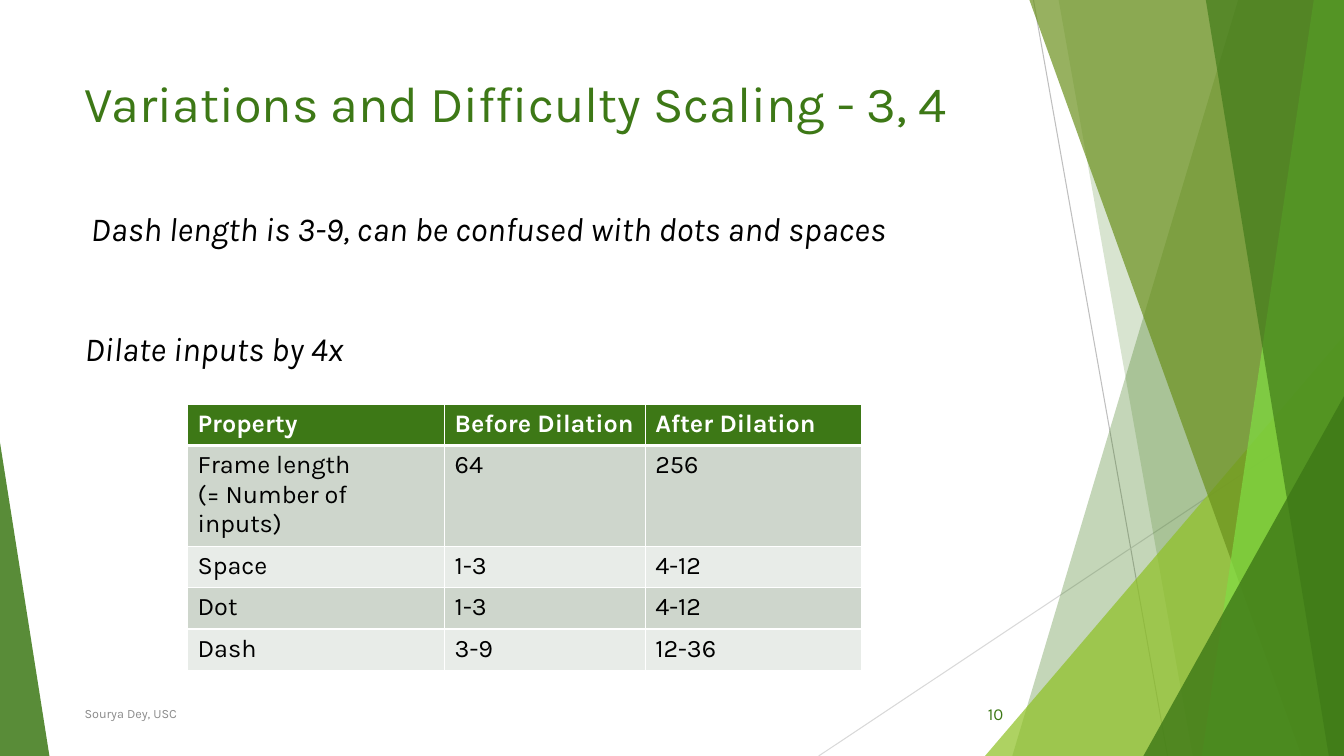
from lxml import etree
from pptx import Presentation
from pptx import util as u
from pptx.dml.color import RGBColor
from pptx.enum import shapes, text
from pptx.oxml import ns

PX = 9144  # EMU per px, 100 px to the inch
WIDE, HIGH = 1333, 750
FONT = "Karla"

GREEN = RGBColor(0x3D, 0x78, 0x16)
LIME = RGBColor(0x8F, 0xC1, 0x26)
OLIVE = RGBColor(0x6B, 0x91, 0x1D)
BRIGHT = RGBColor(0x81, 0xDD, 0x44)
SAGE = RGBColor(0xCE, 0xD6, 0xCC)
PALE = RGBColor(0xE8, 0xEC, 0xE8)
GREY = RGBColor(0x8C, 0x8C, 0x8C)
SILVER = RGBColor(0xBF, 0xBF, 0xBF)
MIST = RGBColor(0xD9, 0xD9, 0xD9)
BLACK = RGBColor(0, 0, 0)
WHITE = RGBColor(255, 255, 255)

TITLE = "Variations and Difficulty Scaling - 3, 4"
TITLE_BOX = (74, 67, 940, 144)

LEFT, RIGHT = text.PP_ALIGN.LEFT, text.PP_ALIGN.RIGHT
TOP, MIDDLE = text.MSO_ANCHOR.TOP, text.MSO_ANCHOR.MIDDLE
BODY = {"size": 24, "color": BLACK, "italic": True}
# words, box, font, alignment, anchor, wrap
NOTES = [
    ("Dash length is 3-9, can be confused with dots and spaces",
     (80, 201, 882, 50), BODY, LEFT, TOP, False),
    ("Dilate inputs by 4x", (74, 320, 307, 50), BODY, LEFT, TOP, False),
    ("Sourya Dey, USC", (74, 688, 689, 40),
     {"size": 9, "color": GREY}, LEFT, MIDDLE, True),
    ("10", (930, 688, 75, 40),
     {"size": 12, "color": GREEN}, RIGHT, MIDDLE, True),
]

ROWS = [
    ("Property", "Before Dilation", "After Dilation"),
    ("Frame length\v(= Number of inputs)", "64", "256"),
    ("Space", "1-3", "4-12"),
    ("Dot", "1-3", "4-12"),
    ("Dash", "3-9", "12-36"),
]
COLS = (255, 199, 215)
GRID_X, GRID_Y, ROW_H = 186, 401, 41

LINES = [((1025, 0), (1158, HIGH), SILVER), ((WIDE, 403), (812, HIGH), MIST)]
# A band runs from its slanted left side (top x, bottom x) to the right edge;
# a wedge is a triangle on the bottom edge (left, top, width, apex).
DECOR = [
    ("band", (1228, 1004), GREEN, 30),
    ("band", (1050, 1183), GREEN, 20),
    ("wedge", (977, 333, 356, 1), LIME, 72),
    ("band", (1021, 1291), OLIVE, 70),
    ("band", (1303, 1192), BRIGHT, 70),
    ("band", (1196, 1318), GREEN, 65),
    ("wedge", (1134, 393, 199, 1), GREEN, 80),
    ("wedge", (0, 439, 49, 0), GREEN, 85),
]


def emu(box):
    return [n * PX for n in box]


def style(para, form):
    form = dict(form, name=FONT)
    para.font.color.rgb = form.pop("color")
    form["size"] = u.Pt(form["size"])
    for key, value in form.items():
        setattr(para.font, key, value)


def add_band(slide, sides):
    top, low = sides
    pen = slide.shapes.build_freeform(top, 0, scale=PX)
    pen.add_line_segments([(WIDE, 0), (WIDE, HIGH), (low, HIGH)], close=True)
    return pen.convert_to_shape()


def add_wedge(slide, spot):
    x, y, w, apex = spot
    shape = slide.shapes.add_shape(
        shapes.MSO_SHAPE.ISOSCELES_TRIANGLE, *emu((x, y, w, HIGH - y)))
    shape.adjustments[0] = apex
    return shape


def add_decor(slide):
    for start, end, color in LINES:
        line = slide.shapes.add_connector(
            shapes.MSO_CONNECTOR.STRAIGHT, *emu(start + end))
        line.line.color.rgb = color
        line.line.width = u.Pt(0.75)
        etree.SubElement(line._element.spPr, ns.qn("a:effectLst"))
    make = {"band": add_band, "wedge": add_wedge}
    for kind, spot, color, alpha in DECOR:
        shape = make[kind](slide, spot)
        shape.shadow.inherit = False
        shape.line.fill.background()
        shape.fill.solid()
        shape.fill.fore_color.rgb = color
        tint = shape._element.spPr.find(".//" + ns.qn("a:srgbClr"))
        etree.SubElement(tint, ns.qn("a:alpha"), val=str(alpha * 1000))


def add_title(slide):
    title = slide.shapes.title
    for key, n in zip(("left", "top", "width", "height"), emu(TITLE_BOX)):
        setattr(title, key, n)
    frame = title.text_frame
    frame.text = TITLE
    frame.vertical_anchor = TOP
    frame.auto_size = text.MSO_AUTO_SIZE.NONE
    para = frame.paragraphs[0]
    para.alignment = LEFT
    para.line_spacing = 1.0
    style(para, {"size": 36, "color": GREEN})


def add_note(slide, words, box, form, align, anchor, wrap):
    frame = slide.shapes.add_textbox(*emu(box)).text_frame
    frame.text = words
    frame.word_wrap = wrap
    frame.vertical_anchor = anchor
    frame.paragraphs[0].alignment = align
    style(frame.paragraphs[0], form)


def set_edges(cell, widths):
    """Draw white cell borders; widths maps L, R, T, B to points."""
    props = cell._tc.get_or_add_tcPr()
    for i, side in enumerate("LRTB"):
        edge = etree.Element(ns.qn("a:ln" + side), w=str(u.Pt(widths[side])))
        fill = etree.SubElement(edge, ns.qn("a:solidFill"))
        etree.SubElement(fill, ns.qn("a:srgbClr"), val=str(WHITE))
        props.insert(i, edge)


def add_grid(slide):
    box = (GRID_X, GRID_Y, sum(COLS), ROW_H * len(ROWS))
    table = slide.shapes.add_table(len(ROWS), len(COLS), *emu(box)).table
    for col, width in zip(table.columns, COLS):
        col.width = width * PX
    for r, row in enumerate(ROWS):
        head = r == 0
        color = GREEN if head else SAGE if r % 2 else PALE
        form = {"size": 18, "bold": head, "color": WHITE if head else BLACK}
        edges = {"L": 1, "R": 1, "T": 3 if r == 1 else 1, "B": 3 if head else 1}
        for c, words in enumerate(row):
            cell = table.cell(r, c)
            cell.text_frame.text = words
            style(cell.text_frame.paragraphs[0], form)
            cell.fill.solid()
            cell.fill.fore_color.rgb = color
            set_edges(cell, edges)


def main():
    deck = Presentation()
    deck.slide_width, deck.slide_height = emu((WIDE, HIGH))
    slide = deck.slides.add_slide(deck.slide_layouts[5])
    add_decor(slide)
    add_title(slide)
    for note in NOTES:
        add_note(slide, *note)
    add_grid(slide)
    deck.save("out.pptx")


if __name__ == "__main__":
    main()
